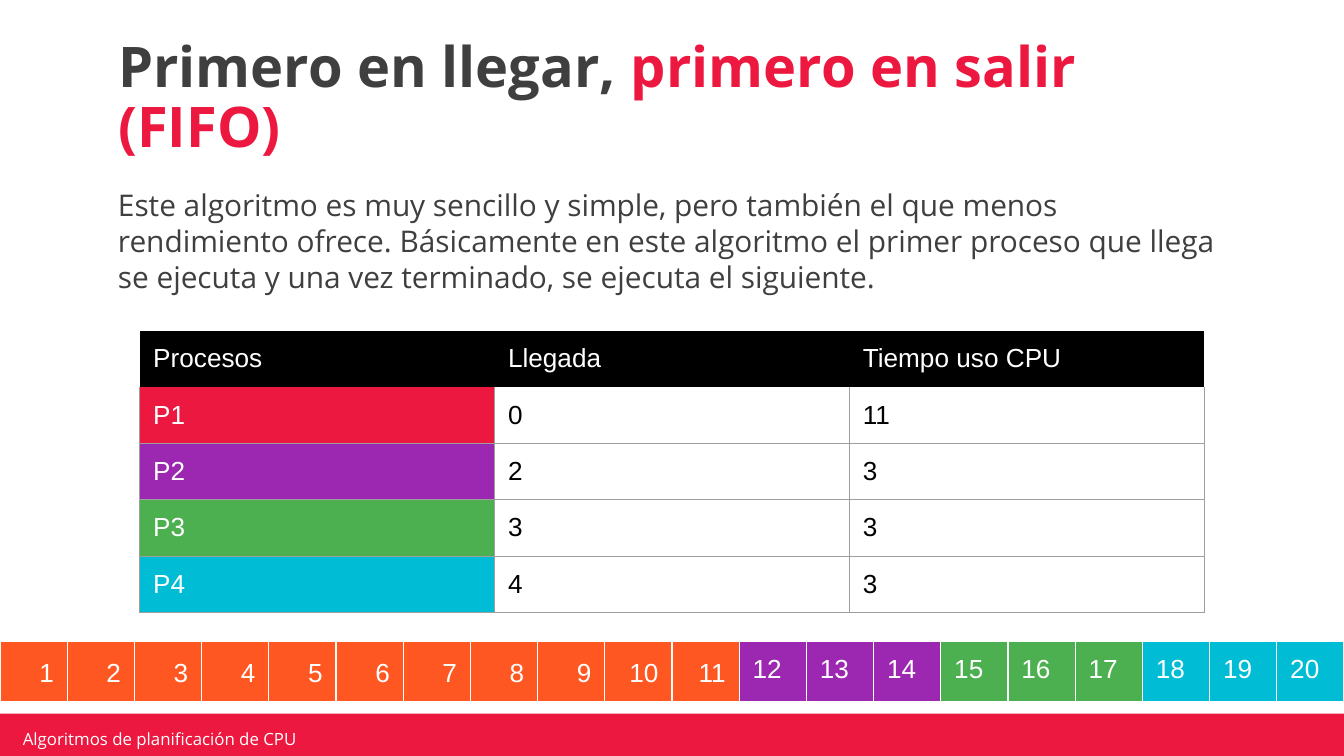
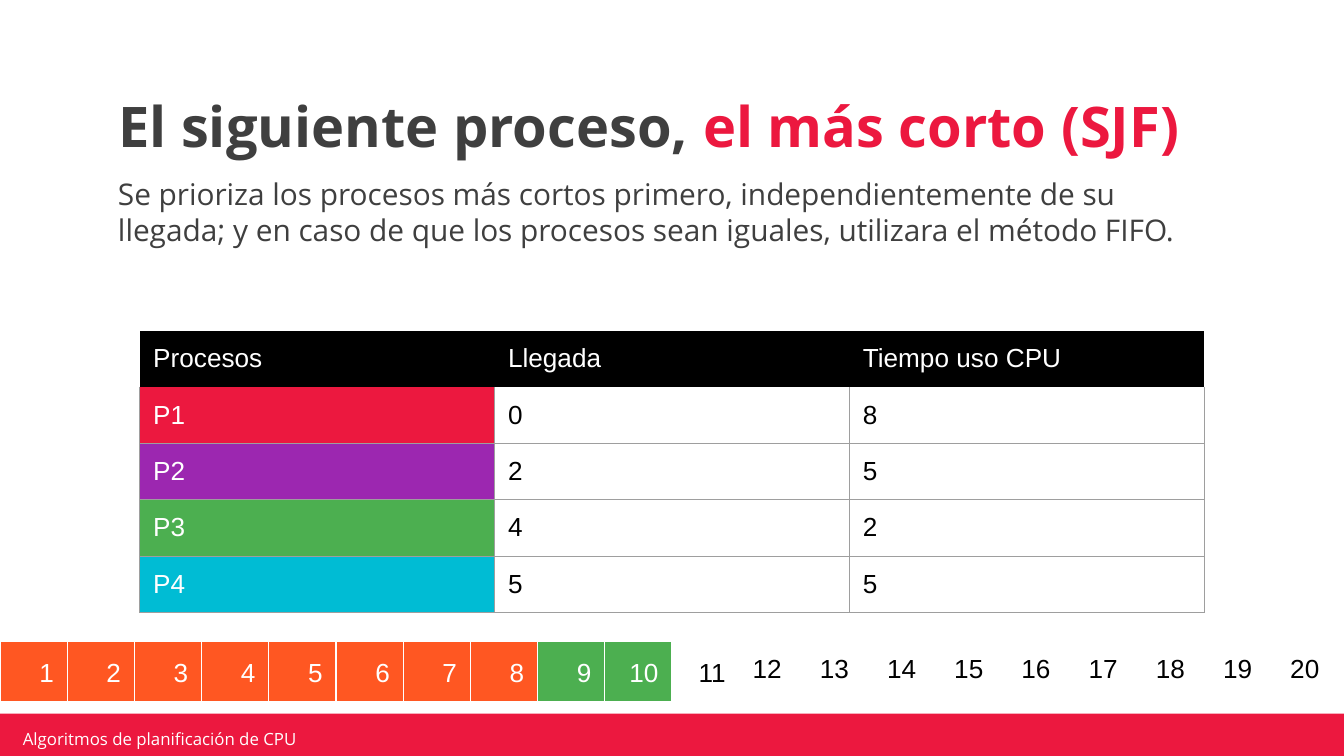
from dataclasses import dataclass

from lxml.etree import SubElement
from pptx import Presentation
from pptx.dml.color import RGBColor
from pptx.enum.shapes import MSO_SHAPE
from pptx.enum.text import MSO_ANCHOR, MSO_AUTO_SIZE, PP_ALIGN
from pptx.oxml.ns import qn
from pptx.util import Inches, Pt


@dataclass(frozen=True)
class Theme:
    red: str = "EC183F"
    orange: str = "FF5722"
    purple: str = "9C27B0"
    green: str = "4CAF50"
    cyan: str = "00BCD4"
    ink: str = "3F3F3F"
    grey: str = "9E9E9E"
    black: str = "000000"
    white: str = "FFFFFF"
    text_font: str = "Open Sans"
    table_font: str = "Arial"
    title_size: int = 30
    body_size: int = 16
    table_size: int = 14
    footer_size: int = 9
    border_width: float = 0.75


THEME = Theme()
SIDES = {"left": "a:lnL", "right": "a:lnR", "top": "a:lnT", "bottom": "a:lnB"}
FOOTER = "Algoritmos de planificación de CPU"
HEADINGS = ["Procesos", "Llegada", "Tiempo uso CPU"]
PROCESS_COLORS = [THEME.red, THEME.purple, THEME.green, THEME.cyan]
LAST_RIGHT_ALIGNED = 11


class Deck:
    def __init__(self, theme):
        self.theme = theme
        self.presentation = Presentation()
        self.presentation.slide_width = Inches(10)
        self.presentation.slide_height = Inches(10) * 9 // 16
        self.slide = None

    def add_slide(self):
        layout = self.presentation.slide_layouts[5]
        self.slide = self.presentation.slides.add_slide(layout)
        self.footer()

    def style(self, font, size, color, name, bold=False):
        font.size = Pt(size)
        font.name = name
        font.bold = bold
        font.color.rgb = RGBColor.from_string(color)

    def frame(self, shape, horizontal=0.1, vertical=0.1, anchor=MSO_ANCHOR.TOP):
        frame = shape.text_frame
        frame.word_wrap = True
        frame.auto_size = MSO_AUTO_SIZE.NONE
        frame.vertical_anchor = anchor
        frame.margin_left = frame.margin_right = Inches(horizontal)
        frame.margin_top = frame.margin_bottom = Inches(vertical)
        return frame

    def text_box(self, text, box, size, color, **frame_options):
        shape = self.slide.shapes.add_textbox(*map(Inches, box))
        paragraph = self.frame(shape, **frame_options).paragraphs[0]
        paragraph.text = text
        self.style(paragraph.font, size, color, self.theme.text_font)
        return paragraph

    def footer(self):
        band = self.slide.shapes.add_shape(
            MSO_SHAPE.RECTANGLE, *map(Inches, (-0.02, 5.31, 10.03, 0.36)))
        band.shadow.inherit = False
        band.fill.solid()
        band.fill.fore_color.rgb = RGBColor.from_string(self.theme.red)
        band.line.fill.background()
        self.text_box(FOOTER, (0.12, 5.42, 2.39, 0.15), self.theme.footer_size,
                      self.theme.white, horizontal=0.05, vertical=0.02,
                      anchor=MSO_ANCHOR.MIDDLE)

    def title(self, plain, accent):
        shape = self.slide.shapes.title
        shape.left, shape.top, shape.width, shape.height = map(
            Inches, (0.78, 0.6, 8.43, 0.69))
        paragraph = self.frame(shape, anchor=MSO_ANCHOR.BOTTOM).paragraphs[0]
        paragraph.alignment = PP_ALIGN.LEFT
        paragraph.line_spacing = 0.9
        for text, color in ((plain, self.theme.ink), (accent, self.theme.red)):
            run = paragraph.add_run()
            run.text = text
            self.style(run.font, self.theme.title_size, color,
                       self.theme.text_font, bold=True)

    def body(self, text, top):
        paragraph = self.text_box(text, (0.78, top, 8.43, 1.53),
                                  self.theme.body_size, self.theme.ink)
        paragraph.space_before = Pt(6)

    def borders(self, cell, colors):
        properties = cell._tc.get_or_add_tcPr()
        for position, (side, tag) in enumerate(SIDES.items()):
            line = SubElement(properties, qn(tag))
            properties.remove(line)
            properties.insert(position, line)
            color = colors.get(side)
            if color:
                line.set("w", str(Pt(self.theme.border_width)))
                fill = SubElement(line, qn("a:solidFill"))
                SubElement(fill, qn("a:srgbClr")).set("val", color)
            else:
                SubElement(line, qn("a:noFill"))

    def table(self, rows, columns, left, top, column_width, row_height):
        table = self.slide.shapes.add_table(
            rows, columns, Inches(left), Inches(top),
            Inches(column_width * columns), Inches(row_height * rows)).table
        table.first_row = table.horz_banding = False
        for column in table.columns:
            column.width = Inches(column_width)
        for row in table.rows:
            row.height = Inches(row_height)
        return table

    def cell(self, cell, text, fill, color, borders):
        cell.margin_left = cell.margin_right = Inches(0.1)
        cell.margin_top = cell.margin_bottom = Inches(0.1)
        if fill:
            cell.fill.solid()
            cell.fill.fore_color.rgb = RGBColor.from_string(fill)
        else:
            cell.fill.background()
        paragraph = cell.text_frame.paragraphs[0]
        paragraph.text = str(text)
        self.style(paragraph.font, self.theme.table_size, color,
                   self.theme.table_font)
        self.borders(cell, borders)
        return paragraph

    def process_table(self, times):
        theme = self.theme
        table = self.table(len(times) + 1, len(HEADINGS), 1.04, 2.46, 2.64, 0.42)
        for column, heading in enumerate(HEADINGS):
            self.cell(table.cell(0, column), heading, theme.black, theme.white, {})
        for row, (color, values) in enumerate(zip(PROCESS_COLORS, times), 1):
            borders = dict.fromkeys(SIDES, theme.grey)
            if row == 1:
                del borders["top"]
            self.cell(table.cell(row, 0), f"P{row}", color, theme.white, borders)
            for column, value in enumerate(values, 1):
                self.cell(table.cell(row, column), value, None, theme.black, borders)

    def timeline(self, spans):
        theme = self.theme
        fills = [color for color, length in spans for _ in range(length)]
        table = self.table(1, len(fills), 0, 4.77, 0.5, 0.21)
        borders = dict.fromkeys(SIDES, theme.white)
        for tick, fill in enumerate(fills, 1):
            color = theme.black if fill == theme.white else theme.white
            paragraph = self.cell(table.cell(0, tick - 1), tick, fill, color, borders)
            if tick <= LAST_RIGHT_ALIGNED:
                paragraph.alignment = PP_ALIGN.RIGHT
                paragraph.line_spacing = 1.15


deck = Deck(THEME)

deck.add_slide()
deck.title("Primero en llegar, ", "primero en salir (FIFO)")
deck.body("Este algoritmo es muy sencillo y simple, pero también el que menos "
          "rendimiento ofrece. Básicamente en este algoritmo el primer proceso "
          "que llega se ejecuta y una vez terminado, se ejecuta el siguiente.", 1.29)
deck.process_table([(0, 11), (2, 3), (3, 3), (4, 3)])
deck.timeline([(THEME.orange, 11), (THEME.purple, 3), (THEME.green, 3),
               (THEME.cyan, 3)])

deck.add_slide()
deck.title("El siguiente proceso, ", "el más corto (SJF)")
deck.body("Se prioriza los procesos más cortos primero, independientemente de su "
          "llegada; y en caso de que los procesos sean iguales, utilizara el "
          "método FIFO.", 1.21)
deck.process_table([(0, 8), (2, 5), (4, 2), (5, 5)])
deck.timeline([(THEME.orange, 8), (THEME.green, 2), (THEME.white, 10)])

deck.presentation.save("out.pptx")
